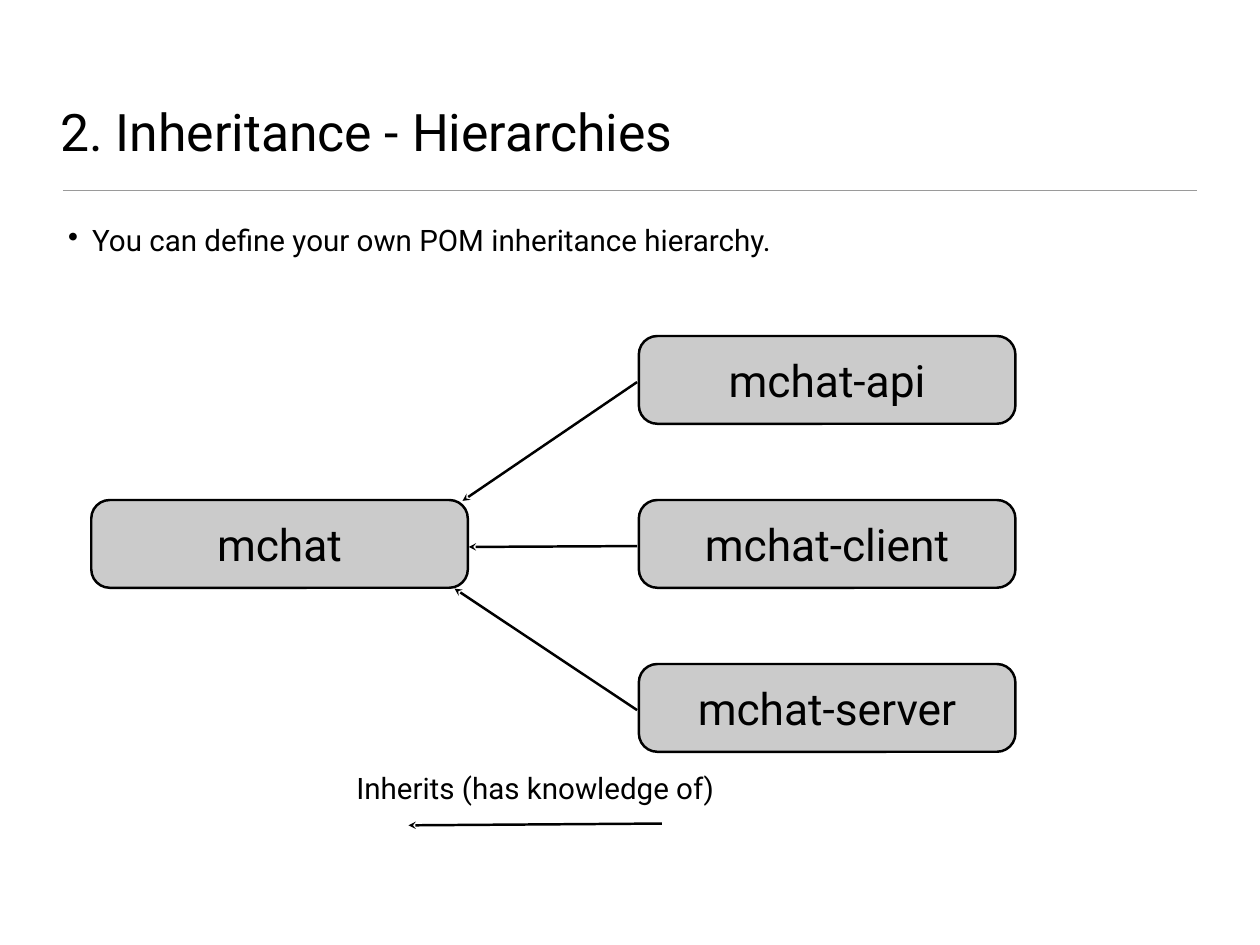
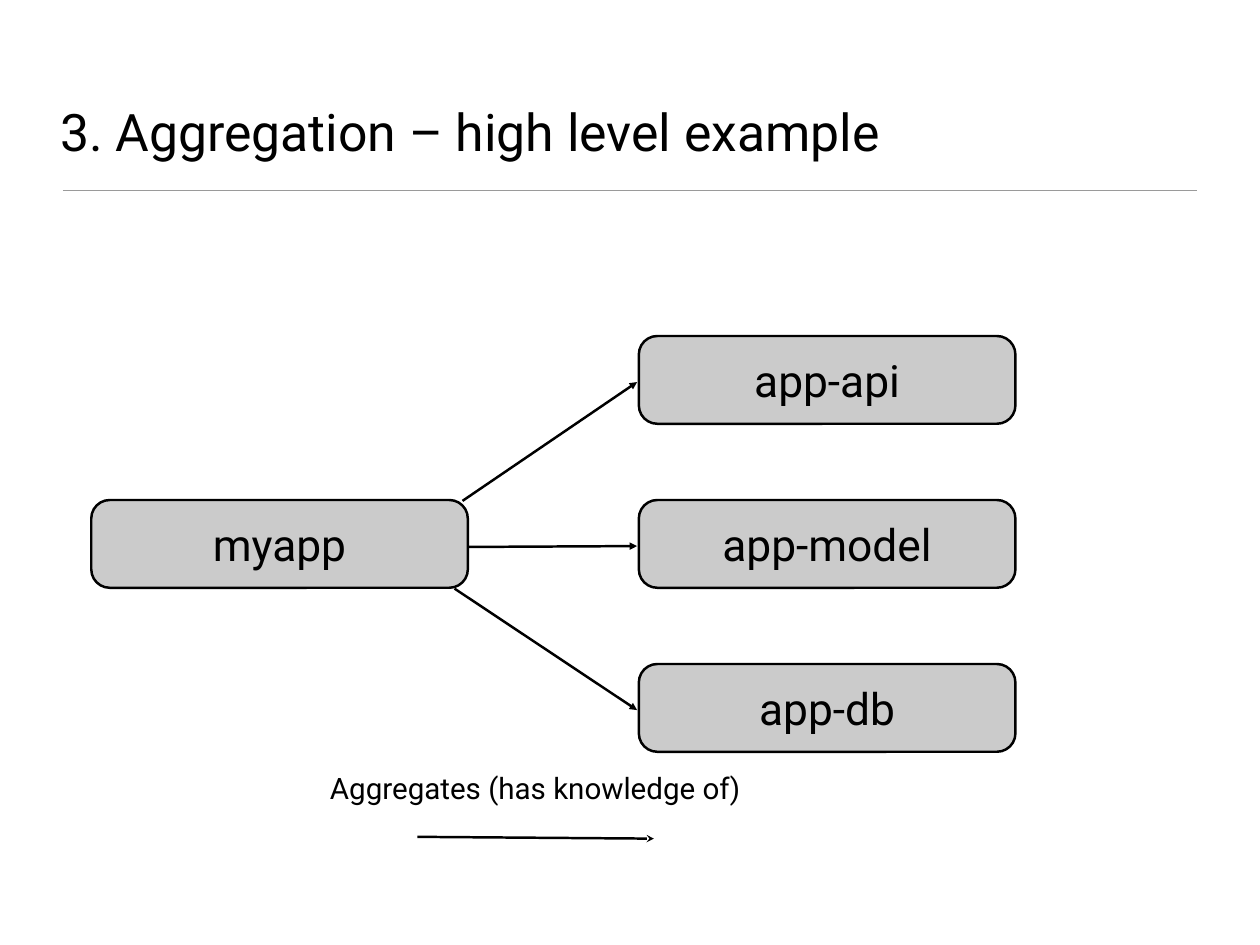
from dataclasses import dataclass

from lxml.etree import SubElement
from pptx import Presentation
from pptx.dml.color import RGBColor
from pptx.enum.shapes import MSO_CONNECTOR, MSO_SHAPE
from pptx.enum.text import MSO_ANCHOR, MSO_AUTO_SIZE, PP_ALIGN
from pptx.oxml.ns import qn
from pptx.util import Pt

EMU_PER_PX = 9144
SLIDE_SIZE = (1422, 1066)
TITLE_BOX = (62, 36, 1297, 153)
RULE_BOX = (71, 215, 1280, 0)
BULLET_BOX = (71, 249, 1281, 140)
TREE_BOX = (103, 379, 1043, 469)
LEGEND_BOX = (354, 863, 500, 51)
TEXT_INSET = 6
NODE_SIZE = (425, 99)
HUB_PORTS = ((419, 186), (426, 238), (410, 285))
CHILD_PORT = (-2, 52)


@dataclass(frozen=True)
class Theme:
    font: str = "Roboto"
    ink: RGBColor = RGBColor(0x00, 0x00, 0x00)
    rule: RGBColor = RGBColor(0x9A, 0x9A, 0x9A)
    node: RGBColor = RGBColor(0xCB, 0xCB, 0xCB)
    title_size: int = 42
    node_size: int = 36
    body_size: int = 24
    rule_width: int = 1
    line_width: int = 2


THEME = Theme()


def px(*lengths):
    return [length * EMU_PER_PX for length in lengths]


def write(frame, text, size, anchor, align=PP_ALIGN.LEFT, wrap=True):
    frame.auto_size = MSO_AUTO_SIZE.NONE
    frame.word_wrap = wrap
    frame.vertical_anchor = anchor
    inset, = px(TEXT_INSET)
    frame.margin_left = frame.margin_right = inset
    frame.margin_top = frame.margin_bottom = inset
    frame.text = text
    paragraph = frame.paragraphs[0]
    paragraph.alignment = align
    paragraph.font.name = THEME.font
    paragraph.font.size = Pt(size)
    paragraph.font.color.rgb = THEME.ink
    return paragraph


def add_line(slide, start, end, color=THEME.ink, width=THEME.line_width, arrowhead=None):
    line = slide.shapes.add_connector(MSO_CONNECTOR.STRAIGHT, *px(*start, *end))
    line.line.color.rgb = color
    line.line.width = Pt(width)
    properties = line.element.spPr
    if arrowhead:
        SubElement(properties.find(qn("a:ln")), qn("a:tailEnd"), type=arrowhead)
    SubElement(properties, qn("a:effectLst"))


def add_titled_slide(deck, title_text):
    slide = deck.slides.add_slide(deck.slide_layouts[5])
    title = slide.shapes.title
    title.left, title.top, title.width, title.height = px(*TITLE_BOX)
    write(title.text_frame, title_text, THEME.title_size, MSO_ANCHOR.BOTTOM)
    left, top, width, height = RULE_BOX
    add_line(slide, (left, top), (left + width, top + height), THEME.rule, THEME.rule_width)
    return slide


def add_bullet(slide, box, text):
    bullet = slide.shapes.add_textbox(*px(*box))
    paragraph = write(bullet.text_frame, text, THEME.body_size, MSO_ANCHOR.TOP)
    paragraph.line_spacing = 0.9
    properties = paragraph.font._element.getparent()
    indent, = px(27)
    properties.set("marL", str(indent))
    properties.set("indent", str(-indent))
    marker = SubElement(properties, qn("a:buChar"), char="•")
    paragraph.font._element.addprevious(marker)


def add_node(slide, left, top, label):
    node = slide.shapes.add_shape(MSO_SHAPE.ROUNDED_RECTANGLE, *px(left, top, *NODE_SIZE))
    node.adjustments[0] = 0.21
    node.shadow.inherit = False
    node.fill.solid()
    node.fill.fore_color.rgb = THEME.node
    node.line.color.rgb = THEME.ink
    node.line.width = Pt(THEME.line_width)
    write(node.text_frame, label, THEME.node_size, MSO_ANCHOR.MIDDLE, PP_ALIGN.CENTER)


def add_module_tree(slide, box, parent, children, arrowhead, toward_parent):
    left, top, width, height = box
    node_width, node_height = NODE_SIZE
    child_left = left + width - node_width
    pitch = (height - node_height) // (len(children) - 1)
    add_node(slide, left, top + (height - node_height) // 2, parent)
    for row, (child, (port_x, port_y)) in enumerate(zip(children, HUB_PORTS)):
        child_top = top + row * pitch
        add_node(slide, child_left, child_top, child)
        parent_end = (left + port_x, top + port_y)
        child_end = (child_left + CHILD_PORT[0], child_top + CHILD_PORT[1])
        ends = (child_end, parent_end) if toward_parent else (parent_end, child_end)
        add_line(slide, *ends, arrowhead=arrowhead)


def add_legend(slide, box, text, arrow_start, arrow_end):
    left, top = box[:2]
    legend = slide.shapes.add_textbox(*px(*box))
    write(legend.text_frame, text, THEME.body_size, MSO_ANCHOR.BOTTOM, PP_ALIGN.CENTER, wrap=False)
    start, end = ((left + x, top + y) for x, y in (arrow_start, arrow_end))
    add_line(slide, start, end, arrowhead="stealth")


def build_inheritance(deck):
    slide = add_titled_slide(deck, "2. Inheritance - Hierarchies")
    add_bullet(slide, BULLET_BOX, "You can define your own POM inheritance hierarchy.")
    add_module_tree(slide, TREE_BOX, "mchat", ("mchat-api", "mchat-client", "mchat-server"),
                    "stealth", toward_parent=True)
    add_legend(slide, LEGEND_BOX, "Inherits (has knowledge of)", (393, 66), (107, 68))


def build_aggregation(deck):
    slide = add_titled_slide(deck, "3. Aggregation – high level example")
    add_module_tree(slide, TREE_BOX, "myapp", ("app-api", "app-model", "app-db"),
                    "triangle", toward_parent=False)
    add_legend(slide, LEGEND_BOX, "Aggregates (has knowledge of)", (117, 81), (384, 83))


def main():
    deck = Presentation()
    deck.slide_width, deck.slide_height = px(*SLIDE_SIZE)
    build_inheritance(deck)
    build_aggregation(deck)
    deck.save("out.pptx")


if __name__ == "__main__":
    main()
